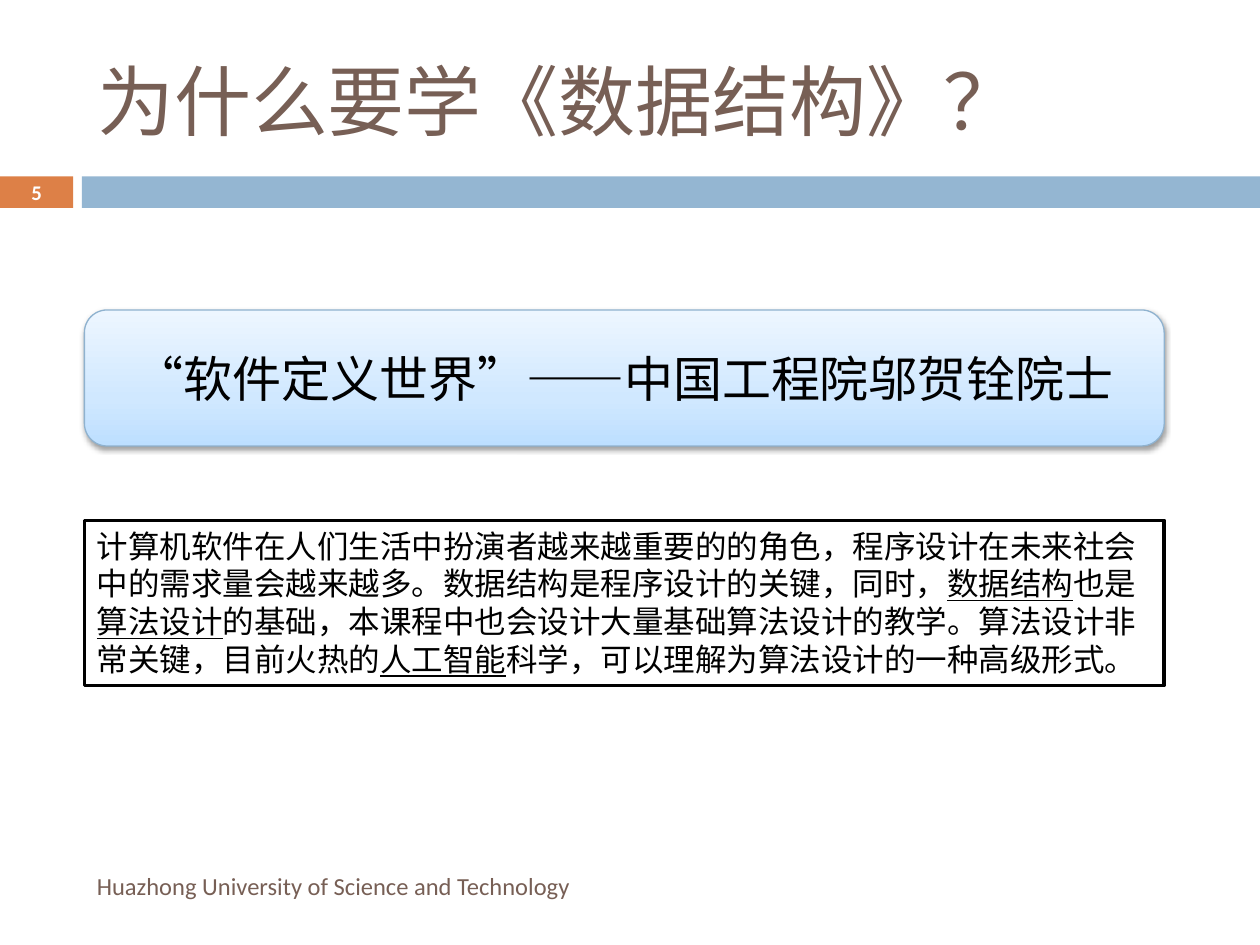
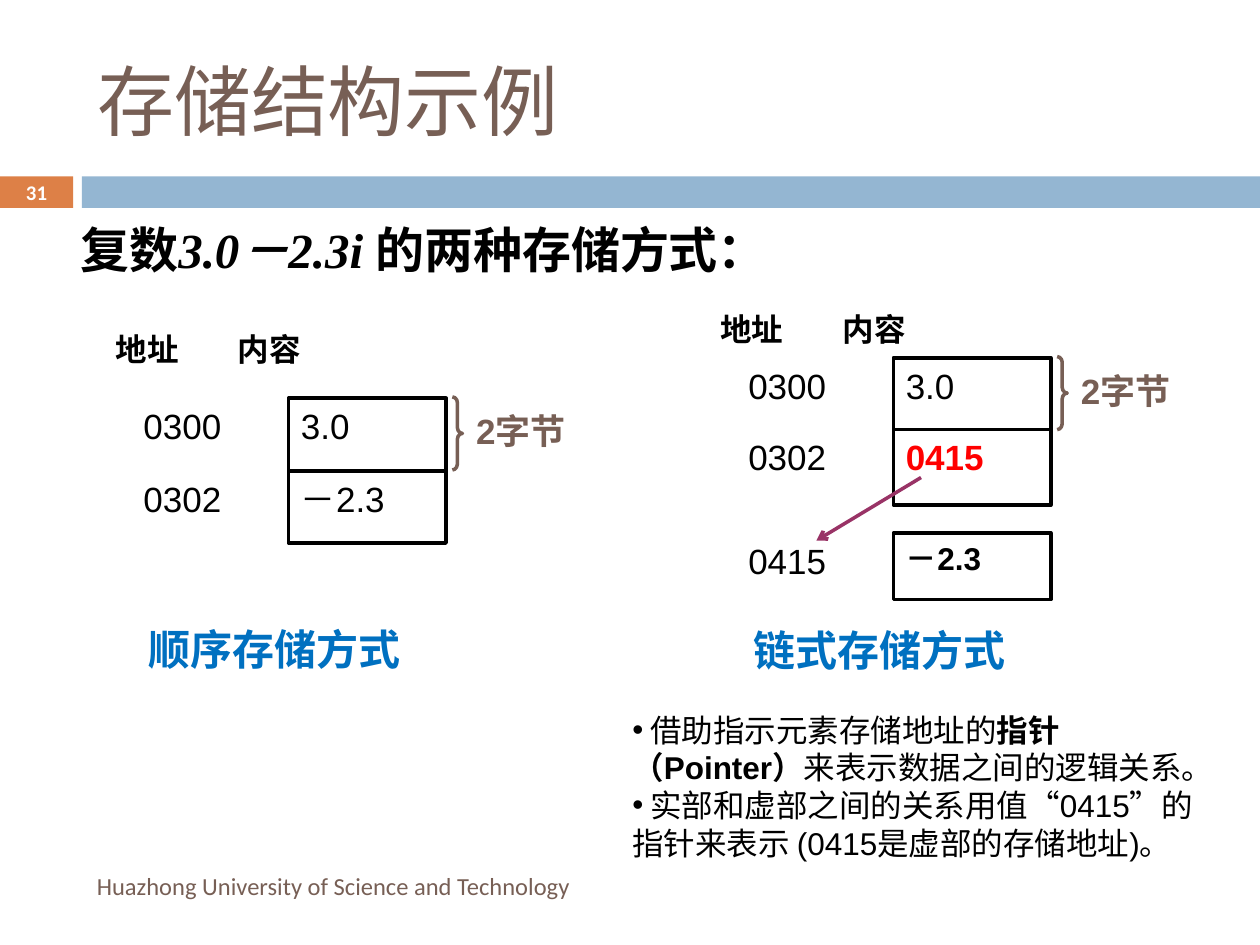
from lxml import etree
from pptx import Presentation
from pptx.dml.color import RGBColor
from pptx.enum.shapes import MSO_CONNECTOR, MSO_SHAPE
from pptx.enum.text import MSO_ANCHOR, PP_ALIGN
from pptx.oxml.ns import qn
from pptx.util import Inches, Pt

RECT, ROUND, BRACE = MSO_SHAPE.RECTANGLE, MSO_SHAPE.ROUNDED_RECTANGLE, MSO_SHAPE.RIGHT_BRACE
LINE = MSO_CONNECTOR.STRAIGHT
TOP, MID = MSO_ANCHOR.TOP, MSO_ANCHOR.MIDDLE
LEFT, CENTER, JUST = PP_ALIGN.LEFT, PP_ALIGN.CENTER, PP_ALIGN.JUSTIFY

BROWN, ORANGE, BLUE = "775F55", "DD8047", "94B6D2"
BLACK, WHITE, RED, AZURE, PLUM = "000000", "FFFFFF", "FF0000", "0070C0", "993366"
BODY, SANS, SERIF, HAN = "Calibri", "Arial", "Times New Roman", "Noto Sans CJK SC"
SCHOOL = "Huazhong University of Science and Technology"


def color(code):
    return RGBColor.from_string(code)


def add(parent, tag, **attrs):
    node = etree.SubElement(parent, qn(tag))
    for key, value in attrs.items():
        node.set(key, str(value))
    return node


def add_run(para, text, size, font=SANS, ink=BLACK, bold=False, italic=False, under=False):
    run = para.add_run()
    run.text = text
    face = run.font
    face.name, face.size = font, Pt(size)
    face.bold, face.italic, face.underline = bold, italic, under
    face.color.rgb = color(ink)
    add(run._r.get_or_add_rPr(), "a:ea", typeface=HAN)


def write(shape, paras, size, align=LEFT, anchor=TOP, space=None, bullet=None, **style):
    """Each paragraph is a list of (text, style changes) runs."""
    frame = shape.text_frame
    frame.word_wrap = True
    frame.vertical_anchor = anchor
    for i, runs in enumerate(paras):
        para = frame.paragraphs[0] if i == 0 else frame.add_paragraph()
        para.alignment = align
        if space:
            para.line_spacing = space
        if bullet:
            props = para._p.get_or_add_pPr()
            props.set("marL", "0")
            props.set("indent", "0")
            add(props, "a:buFont", typeface=SANS)
            add(props, "a:buChar", char=bullet)
        for text, change in runs:
            add_run(para, text, size, **{**style, **change})


def label(slide, box, text, size, **style):
    area = slide.shapes.add_textbox(*map(Inches, box))
    write(area, [[(text, {})]], size, **style)
    return area


def block(slide, kind, box, fill=None, line=None, width=2):
    shape = slide.shapes.add_shape(kind, *map(Inches, box))
    shape.shadow.inherit = False
    if fill:
        shape.fill.solid()
        shape.fill.fore_color.rgb = color(fill)
    else:
        shape.fill.background()
    if line:
        shape.line.color.rgb = color(line)
        shape.line.width = Pt(width)
    else:
        shape.line.fill.background()
    return shape


def start(deck, title, number):
    """Title, band and footer shared by all slides."""
    slide = deck.slides.add_slide(deck.slide_layouts[5])
    block(slide, RECT, (0, 1.4, 0.58, 0.25), ORANGE)
    block(slide, RECT, (0.65, 1.4, 9.35, 0.25), BLUE)
    head = slide.shapes.title
    head.left, head.top, head.width, head.height = map(Inches, (0.67, 0.25, 8.92, 1.08))
    write(head, [[(title, {})]], 44, anchor=MID, font=BODY, ink=BROWN)
    label(slide, (0.67, 6.83, 5.93, 0.4), SCHOOL, 14, anchor=MID, font=BODY, ink=BROWN)
    label(slide, (0, 1.39, 0.58, 0.27), str(number), 11.9, align=CENTER, anchor=MID,
          font=BODY, ink=WHITE, bold=True)
    return slide


def quote(slide, box, text):
    """Rounded panel with a gradient and a soft shadow."""
    panel = block(slide, ROUND, box, WHITE, "8FB2CF", 0.75)
    props = panel._element.spPr
    grad = etree.Element(qn("a:gradFill"), rotWithShape="1")
    stops = add(grad, "a:gsLst")
    for pos, code in ((0, "BDDFFF"), (35, "D0E8FF"), (100, "EDF6FF")):
        add(add(stops, "a:gs", pos=pos * 1000), "a:srgbClr", val=code)
    add(grad, "a:lin", ang=270 * 60000, scaled=1)
    props.replace(props.find(qn("a:solidFill")), grad)
    shade = add(props.find(qn("a:effectLst")), "a:outerShdw", blurRad=Pt(3.1),
                dist=Pt(1.6), dir=90 * 60000, rotWithShape=0)
    add(add(shade, "a:srgbClr", val=BLACK), "a:alpha", val=38000)
    write(panel, [[(text, {})]], 28, align=CENTER, anchor=MID, font=BODY)


def memory(slide, x, y, rows, top, name, foot):
    """Address and content columns, with headings, brace and caption."""
    wide = 1.25
    for text, shift in (("地址", -0.22), ("内容", 0.75)):
        label(slide, (x + shift, top, 1, 0.5), text, 18, bold=True)
    for spot, value, drop, tall, style in rows:
        label(slide, (x, y + drop, wide, tall), spot, 20)
        cell = block(slide, RECT, (x + wide, y + drop, wide, tall), line=BLACK)
        write(cell, [[(value, {})]], **{"size": 20, **style})
    brace = block(slide, BRACE, (x + 2 * wide + 0.05, y - 0.01, 0.08, 0.58), line=BROWN)
    brace.adjustments[0] = 0.58
    label(slide, (x + 2 * wide + 0.14, y - 0.06, 1, 0.53), "2字节", 20,
          align=JUST, space=1.3, ink=BROWN, bold=True)
    label(slide, (x + 0.04, foot, 2.92, 0.5), name, 24, ink=AZURE, bold=True)


def arrow(slide, x1, y1, x2, y2):
    link = slide.shapes.add_connector(LINE, *map(Inches, (x1, y1, x2, y2)))
    link.line.color.rgb = color(PLUM)
    link.line.width = Pt(2)
    add(link.line._get_or_add_ln(), "a:tailEnd", type="arrow")
    add(link._element.spPr, "a:effectLst")


def why(deck):
    slide = start(deck, "为什么要学《数据结构》？", 5)
    quote(slide, (0.67, 2.46, 8.57, 1.08), "“软件定义世界”——中国工程院邬贺铨院士")
    # Reasons
    note = block(slide, RECT, (0.67, 4.13, 8.57, 1.31), WHITE, BLACK)
    mark = {"under": True}
    write(note, [
        [("计算机软件在人们生活中扮演者越来越重要的的角色，程序设计在未来社会", {})],
        [("中的需求量会越来越多。数据结构是程序设计的关键，同时，", {}),
         ("数据结构", mark), ("也是", {}), ("算法设计", mark),
         ("的基础，本课程中也会设计大量基础算法设计的教学。算法设计非常关键，目前火热的", {}),
         ("人工智能", mark), ("科学，可以理解为算法设计的一种高级形式。", {})],
    ], 18, font=BODY)


def storage(deck):
    slide = start(deck, "存储结构示例", 31)
    # Lead line
    lead = slide.shapes.add_textbox(*map(Inches, (0.54, 1.69, 8.32, 0.57)))
    write(lead, [[("复数", {}), ("3.0－2.3i ", {"font": SERIF, "italic": True}),
                  ("的两种存储方式：", {})]], 28, font=HAN, bold=True)
    # Sequential and linked storage
    memory(slide, 1.04, 3.16, [("0300", "3.0", 0, 0.58, {}),
                               ("0302", "－2.3", 0.58, 0.57, {})],
           2.57, "顺序存储方式", 4.9)
    memory(slide, 5.84, 2.84, [("0300", "3.0", 0, 0.57, {}),
                               ("0302", "0415", 0.57, 0.6, {"ink": RED, "bold": True}),
                               ("0415", "－2.3", 1.39, 0.53, {"size": 18, "bold": True})],
           2.41, "链式存储方式", 4.91)
    arrow(slide, 7.31, 3.79, 6.48, 4.29)
    # Remarks on pointers
    notes = slide.shapes.add_textbox(*map(Inches, (4.92, 5.59, 4.69, 1.31)))
    write(notes, [
        [(" 借助指示元素存储地址的", {}), ("指针 （Pointer）", {"bold": True}),
         ("来表示数据之间的逻辑关系。", {})],
        [(" 实部和虚部之间的关系用值“0415”的指针来表示 (0415是虚部的存储地址)。", {})],
    ], 18, bullet="•")


def main():
    deck = Presentation()
    deck.slide_width, deck.slide_height = Inches(10), Inches(7.5)
    why(deck)
    storage(deck)
    deck.save("out.pptx")


if __name__ == "__main__":
    main()
